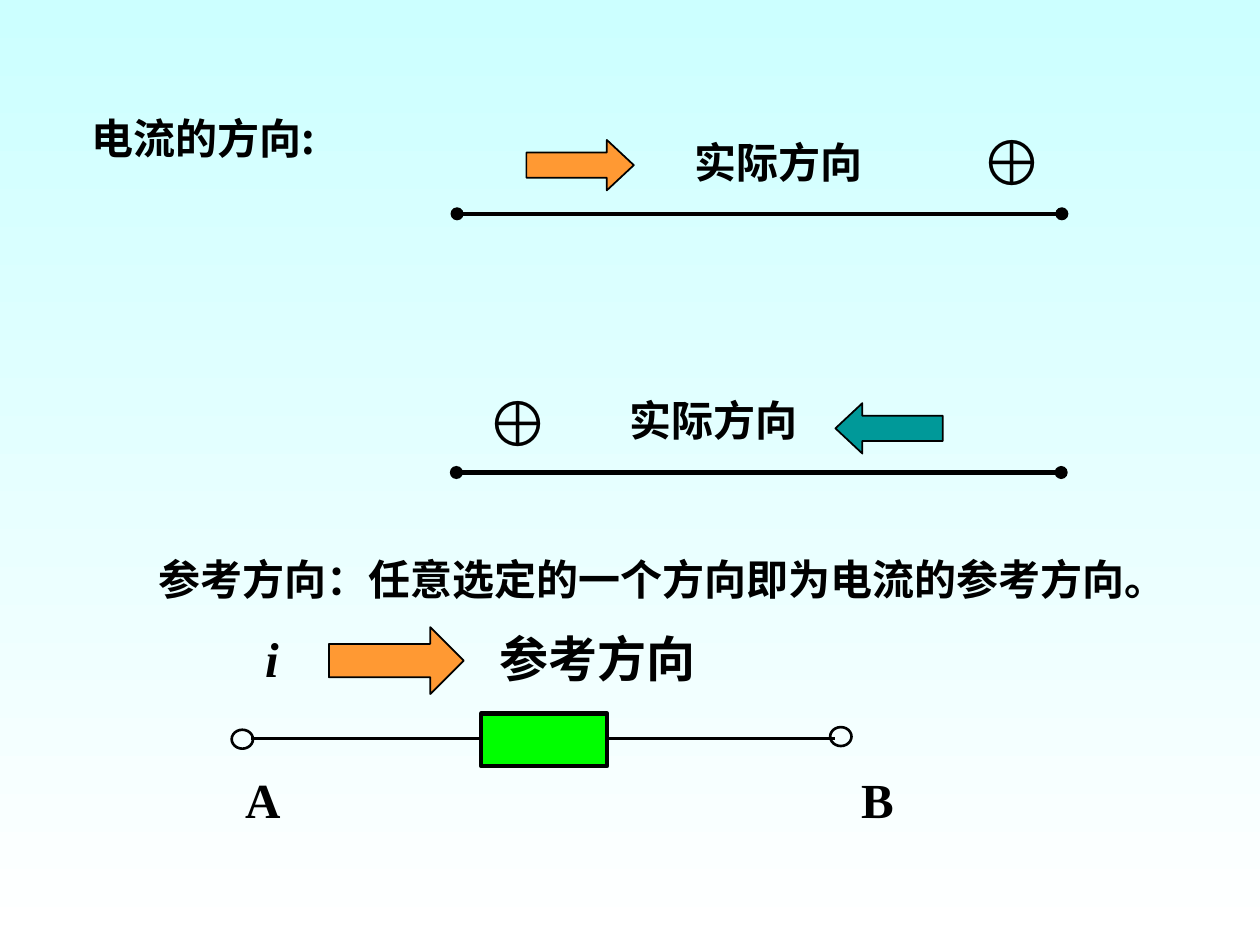
from lxml.etree import SubElement as Sub
from pptx import Presentation
from pptx.dml.color import RGBColor
from pptx.enum.shapes import MSO_CONNECTOR as Conn, MSO_SHAPE as Kind
from pptx.enum.text import MSO_ANCHOR as Anchor, PP_ALIGN as Align
from pptx.oxml.ns import qn
from pptx.util import Pt

HAN = "Noto Sans CJK SC"
ROMAN = "Times New Roman"
BLACK = "000000"


def color(code):
    return RGBColor.from_string(code)


def label(box, runs, size, font=ROMAN, bold=True, align=Align.CENTER,
          anchor=Anchor.MIDDLE, wrap=True):
    """Add a text box; runs are (text, italic) pairs."""
    shape = slide.shapes.add_textbox(*map(Pt, box))
    frame = shape.text_frame
    frame.word_wrap = wrap
    frame.vertical_anchor = anchor
    para = frame.paragraphs[0]
    para.alignment = align
    for text, slant in runs:
        run = para.add_run()
        run.text = text
        run.font.size = Pt(size)
        run.font.name = font
        run.font.bold = bold
        run.font.italic = slant
        run.font.color.rgb = color(BLACK)
        Sub(run.font._element, qn("a:ea"), typeface=HAN)
    return para


deck = Presentation()
deck.slide_width, deck.slide_height = Pt(720), Pt(540)
slide = deck.slides.add_slide(deck.slide_layouts[6])

# Background: pale cyan fading down to white
back = slide.background.fill
back.gradient()
back.gradient_angle = 270
for stop, (code, place) in zip(back.gradient_stops,
                               [("CCFFFF", 0), ("FFFFFF", 1)]):
    stop.color.rgb = color(code)
    stop.position = place

# Wires: two with dots at the ends, one plain for the circuit
for left, right, y, width, dots in [
    (261.2, 606.8, 122.2, 2.5, True),
    (260.8, 606.4, 270, 2.5, True),
    (143.3, 477.4, 421.9, 1.5, False),
]:
    wire = slide.shapes.add_connector(
        Conn.STRAIGHT, Pt(left), Pt(y), Pt(right), Pt(y))
    wire.line.color.rgb = color(BLACK)
    wire.line.width = Pt(width)
    if dots:
        for end in ("a:headEnd", "a:tailEnd"):
            Sub(wire.line._get_or_add_ln(), qn(end), type="oval")
    Sub(wire._element.spPr, qn("a:effectLst"))

# Arrows, resistor and terminals
for kind, box, fill, width, head in [
    (Kind.RIGHT_ARROW, (300.8, 80, 61.4, 28.8), "FF9933", 1, 0.535),
    (Kind.LEFT_ARROW, (477.4, 230.4, 61.4, 28.8), "009999", 1, 0.535),
    (Kind.RIGHT_ARROW, (188, 358.4, 77, 38.2), "FF9933", 1, 0.5),
    (Kind.RECTANGLE, (275, 407.8, 72, 30), "00FF00", 2.5, None),
    (Kind.OVAL, (132.4, 417, 12.2, 10.8), None, 1.5, None),
    (Kind.OVAL, (474.4, 415.5, 12.2, 10.8), None, 1.5, None),
]:
    shape = slide.shapes.add_shape(kind, *map(Pt, box))
    shape.shadow.inherit = False
    shape.line.color.rgb = color(BLACK)
    shape.line.width = Pt(width)
    if fill:
        shape.fill.solid()
        shape.fill.fore_color.rgb = color(fill)
    else:
        shape.fill.background()
    if head:
        shape.adjustments[0] = 0.5
        shape.adjustments[1] = head

# Heading and definition
label((45.4, 60.5, 226.8, 36), [("电流的方向:", False)], 24, font=HAN,
      align=Align.LEFT, anchor=Anchor.TOP)
label((83.5, 312.5, 590.4, 36),
      [("参考方向：任意选定的一个方向即为电流的参考方向。", False)], 24, wrap=False)

# Actual direction, with the plus sign of each case
for box in [(373, 77.8, 144, 28.8), (352, 225.4, 111, 28.8)]:
    label(box, [("实际方向", False)], 24, wrap=False)
for box in [(553, 71.3, 33.8, 40.3), (270.7, 218.2, 44.6, 44.6)]:
    label(box, [("⊕", False)], 36, font="Arial", bold=False, wrap=False)

# Reference direction: the tab leaves room for the arrow
para = label((144.4, 355.7, 266.4, 41), [("i\t", True), ("参考方向", False)],
             28, align=Align.LEFT)
props = para._p.get_or_add_pPr()
Sub(Sub(props, qn("a:tabLst")), qn("a:tab"), pos=str(Pt(134)), algn="l")

# Terminal names
for name, left in [("A", 121.7), ("B", 473)]:
    label((left, 436.3, 56.9, 41), [(name, False)], 28)

deck.save("out.pptx")
